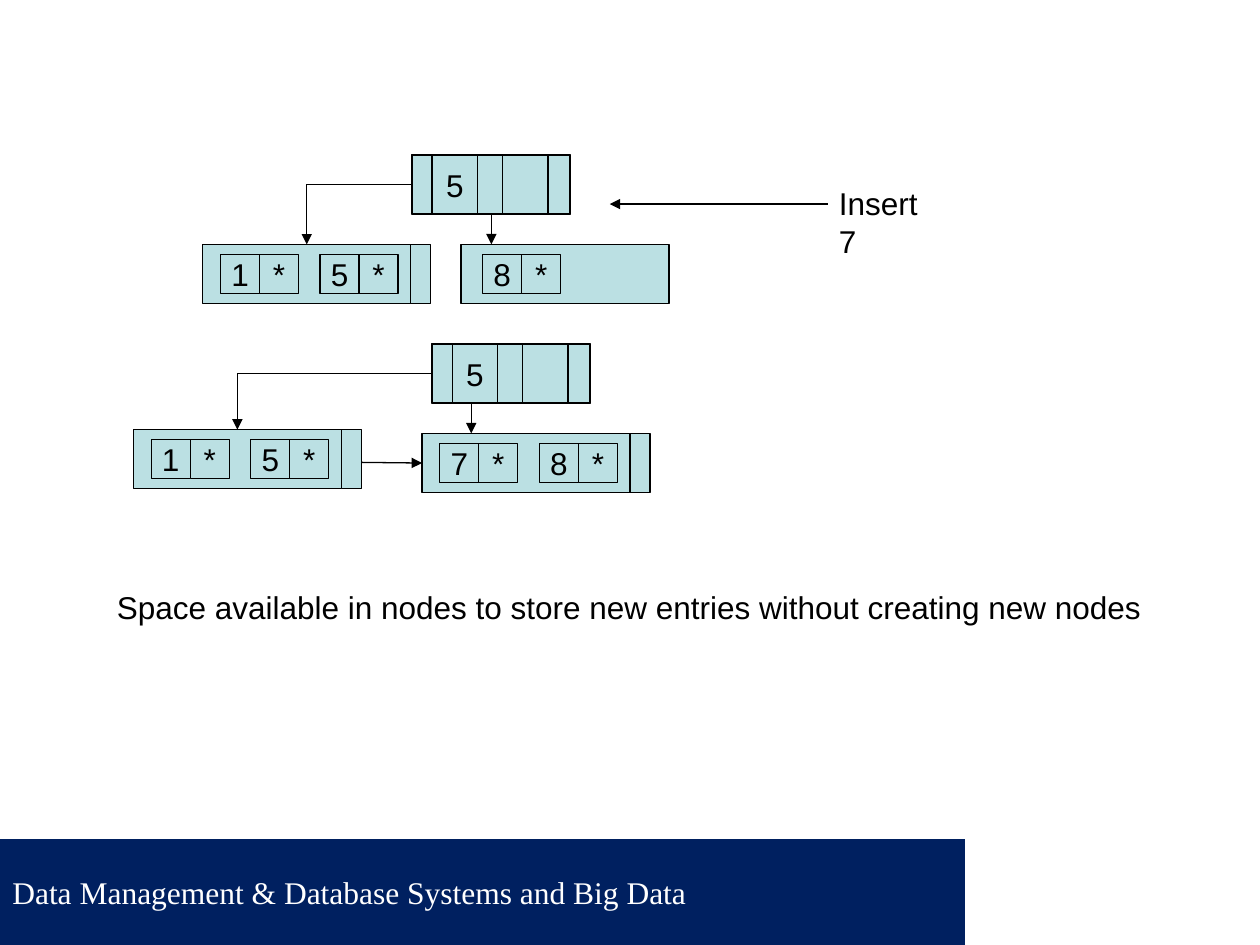
from dataclasses import dataclass
from pptx import Presentation
from pptx.dml.color import RGBColor
from pptx.enum import shapes as sh, text as tx
from pptx.oxml import parse_xml
from pptx.oxml.ns import nsdecls, qn
from pptx.util import Inches, Pt


@dataclass(frozen=True)
class Theme:
    navy: RGBColor = RGBColor(0x00, 0x20, 0x60)
    white: RGBColor = RGBColor(0xFF, 0xFF, 0xFF)
    black: RGBColor = RGBColor(0x00, 0x00, 0x00)
    node: RGBColor = RGBColor(0xBB, 0xE0, 0xE3)
    size: Pt = Pt(18)
    line: Pt = Pt(0.75)
    sans: str = "Arial"
    serif: str = "Times New Roman"


theme = Theme()


def write(shape, words, font=theme.sans, color=theme.black):
    run = shape.text_frame.paragraphs[0].add_run()
    run.text = words
    run.font.name = font
    run.font.size = theme.size
    run.font.color.rgb = color


def block(slide, x, y, w, h, fill=theme.node, line=True):
    shape = slide.shapes.add_shape(
        sh.MSO_SHAPE.RECTANGLE, Inches(x), Inches(y), Inches(w), Inches(h))
    shape.shadow.inherit = False
    shape.fill.solid()
    shape.fill.fore_color.rgb = fill
    if line:
        shape.line.color.rgb = theme.black
        shape.line.width = theme.line
    else:
        shape.line.fill.background()
    return shape


def cell(slide, x, y, w, h, words):
    shape = block(slide, x, y, w, h)
    frame = shape.text_frame
    frame.word_wrap = False
    frame.vertical_anchor = tx.MSO_ANCHOR.MIDDLE
    frame.paragraphs[0].alignment = tx.PP_ALIGN.CENTER
    write(shape, words)


def label(slide, x, y, w, h, words):
    shape = slide.shapes.add_textbox(Inches(x), Inches(y), Inches(w), Inches(h))
    shape.text_frame.word_wrap = False
    shape.text_frame.auto_size = tx.MSO_AUTO_SIZE.SHAPE_TO_FIT_TEXT
    write(shape, words)


def arrow(slide, start, end, head=None, tail=None, bent=False):
    kind = sh.MSO_CONNECTOR.ELBOW if bent else sh.MSO_CONNECTOR.STRAIGHT
    link = slide.shapes.add_connector(kind, *map(Inches, start + end))
    if head:
        link.begin_connect(*head)
    if tail:
        link.end_connect(*tail)
    link.line.color.rgb = theme.black
    link.line.width = theme.line
    props = link._element.spPr
    if bent:
        props.find(qn("a:prstGeom")).set("prst", "bentConnector2")
    props.find(qn("a:ln")).append(
        parse_xml(f'<a:tailEnd {nsdecls("a")} type="triangle"/>'))
    props.append(parse_xml(f'<a:effectLst {nsdecls("a")}/>'))


def leaf(slide, x, y, keys, lead=0.14, next_slot=True):
    body = block(slide, x, y, 1.65, 0.47)
    if next_slot:
        block(slide, x + 1.65, y, 0.16, 0.47)
    side = 0.31
    for i, key in enumerate(keys):
        left = x + lead + 0.79 * i
        cell(slide, left, y + 0.08, side, side, key)
        cell(slide, left + side, y + 0.08, side, side, "*")
    return body


def root(slide, x, y, key):
    body = block(slide, x, y, 1.26, 0.47)
    block(slide, x, y, 0.16, 0.47)
    cell(slide, x + 0.16, y, 0.36, 0.47, key)
    block(slide, x + 0.72, y, 0.36, 0.47)
    block(slide, x + 1.08, y, 0.17, 0.47)
    return body


def before(slide, x, y):
    low = leaf(slide, x, y + 0.71, ["1", "5"])
    leaf(slide, x + 2.05, y + 0.71, ["8"], lead=0.17, next_slot=False)
    top = root(slide, x + 1.66, y, "5")
    arrow(slide, (x + 1.66, y + 0.24), (x + 0.83, y + 0.71),
          (top, 1), (low, 0), bent=True)
    arrow(slide, (x + 2.29, y + 0.47), (x + 2.29, y + 0.71), (top, 2))
    label(slide, x + 4.95, y + 0.18, 1.03, 0.4, "Insert 7")
    arrow(slide, (x + 4.96, y + 0.39), (x + 3.23, y + 0.39))


def after(slide, x, y):
    low = leaf(slide, x, y + 0.68, ["1", "5"])
    high = leaf(slide, x + 2.29, y + 0.71, ["7", "8"])
    top = root(slide, x + 2.37, y, "5")
    arrow(slide, (x + 2.68, y + 0.47), (x + 2.68, y + 0.71))
    arrow(slide, (x + 1.81, y + 0.94), (x + 2.29, y + 0.94), tail=(high, 1))
    arrow(slide, (x + 2.37, y + 0.24), (x + 0.83, y + 0.68),
          (top, 1), (low, 0), bent=True)


def footer(slide, x, y, w, h):
    band = block(slide, x, y, w, h, theme.navy, False)
    band.text_frame.vertical_anchor = tx.MSO_ANCHOR.MIDDLE
    band.text_frame.paragraphs[0].alignment = tx.PP_ALIGN.LEFT
    write(band, "Data Management & Database Systems and Big Data",
          theme.serif, theme.white)
    block(slide, x + w - 2.34, y, 2.34, h, theme.white, False)


def main():
    deck = Presentation()
    deck.slide_width, deck.slide_height = Inches(10), Inches(7.5)
    slide = deck.slides.add_slide(deck.slide_layouts[6])
    footer(slide, 0, 6.66, 10, 0.84)
    after(slide, 1.06, 2.73)
    before(slide, 1.61, 1.23)
    label(slide, 0.83, 4.62, 8.33, 0.4,
          "Space available in nodes to store new entries without creating new nodes")
    deck.save("out.pptx")


if __name__ == "__main__":
    main()
